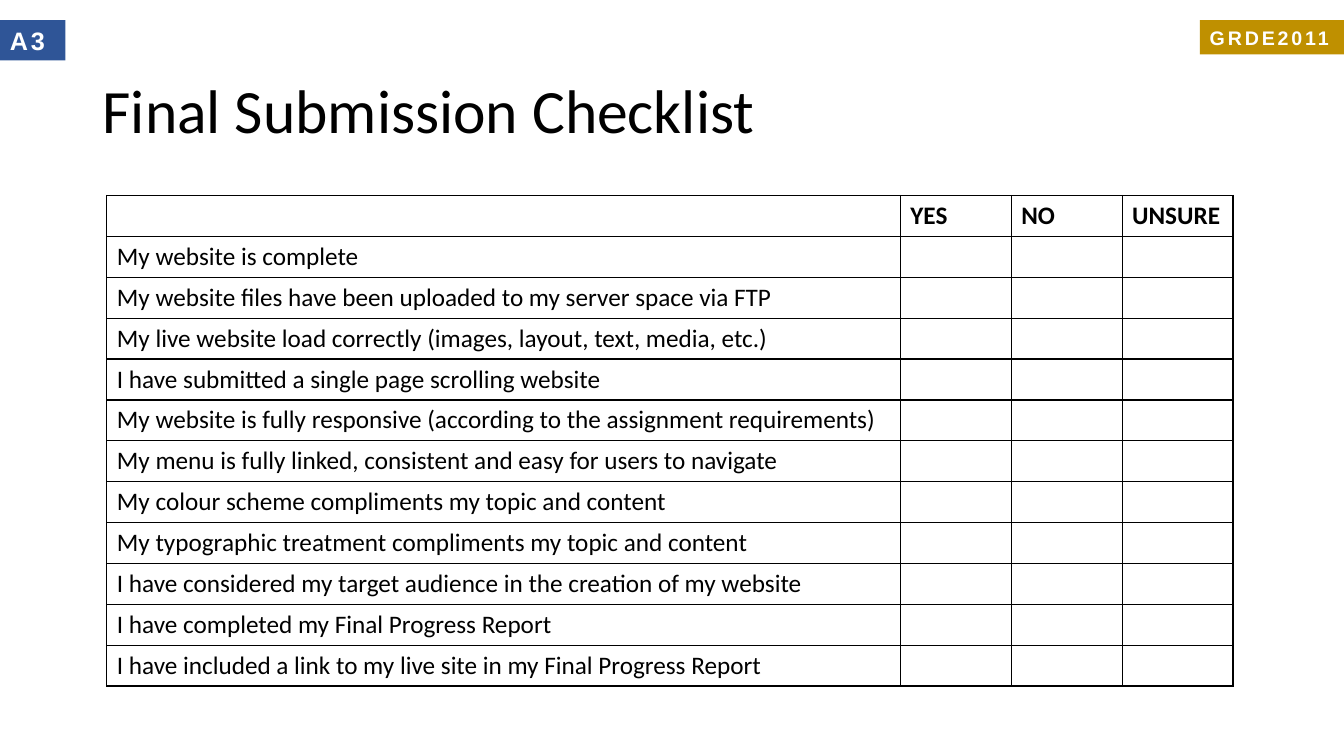
from lxml import etree
from pptx import Presentation
from pptx.dml.color import RGBColor
from pptx.enum.shapes import MSO_SHAPE
from pptx.enum.text import MSO_ANCHOR, PP_ALIGN
from pptx.oxml.ns import qn
from pptx.util import Inches, Pt

RECT = MSO_SHAPE.RECTANGLE
MIDDLE = MSO_ANCHOR.MIDDLE
LEFT = PP_ALIGN.LEFT

COLORS = {"ink": "000000", "paper": "FFFFFF", "blue": "2F5597", "gold": "BF9000"}
HEADS = ["", "YES", "NO", "UNSURE"]
CHECKS = [
    "My website is complete",
    "My website files have been uploaded to my server space via FTP",
    "My live website load correctly (images, layout, text, media, etc.)",
    "I have submitted a single page scrolling website",
    "My website is fully responsive (according to the assignment requirements)",
    "My menu is fully linked, consistent and easy for users to navigate",
    "My colour scheme compliments my topic and content",
    "My typographic treatment compliments my topic and content",
    "I have considered my target audience in the creation of my website",
    "I have completed my Final Progress Report",
    "I have included a link to my live site in my Final Progress Report",
]


def color(name):
    return RGBColor.from_string(COLORS[name])


class Deck:
    body = "Calibri"
    label = "Arial"

    def __init__(self, slide):
        self.slide = slide

    def style(self, para, face, size, ink, bold=False):
        font = para.font
        font.name, font.size, font.bold = face, Pt(size), bold
        font.color.rgb = color(ink)

    def title(self, text, *box):
        shape = self.slide.shapes.add_textbox(*map(Inches, box))
        frame = shape.text_frame
        frame.word_wrap = True
        frame.vertical_anchor = MIDDLE
        para = frame.paragraphs[0]
        para.text = text
        para.line_spacing = 0.9
        self.style(para, self.body, 44, "ink")

    def tag(self, text, size, fill, *box):
        shape = self.slide.shapes.add_shape(RECT, *map(Inches, box))
        shape.shadow.inherit = False
        shape.fill.solid()
        shape.fill.fore_color.rgb = color(fill)
        shape.line.fill.background()
        frame = shape.text_frame
        frame.word_wrap = False
        para = frame.paragraphs[0]
        para.alignment = LEFT
        run = para.add_run()
        run.text = text
        self.style(para, self.label, size, "paper", True)
        # Letter spacing of two points
        run.font._element.set("spc", "200")

    def border(self, cell):
        props = cell._tc.get_or_add_tcPr()
        for index, side in enumerate(("lnL", "lnR", "lnT", "lnB")):
            line = etree.Element(qn("a:" + side), w=str(Pt(1)))
            fill = etree.SubElement(line, qn("a:solidFill"))
            etree.SubElement(fill, qn("a:srgbClr"), val=COLORS["ink"])
            props.insert(index, line)

    def table(self, rows, widths, left, top, height):
        box = map(Inches, (left, top, sum(widths), height))
        grid = self.slide.shapes.add_table(len(rows), len(widths), *box).table
        for col, width in zip(grid.columns, widths):
            col.width = Inches(width)
        for r, row in enumerate(rows):
            for c, text in enumerate(row):
                cell = grid.cell(r, c)
                cell.text = text
                cell.fill.solid()
                cell.fill.fore_color.rgb = color("paper")
                para = cell.text_frame.paragraphs[0]
                self.style(para, self.body, 18, "ink", r == 0)
                self.border(cell)


def main():
    show = Presentation()
    show.slide_width, show.slide_height = Inches(13.33), Inches(7.5)
    deck = Deck(show.slides.add_slide(show.slide_layouts[6]))

    # Title and corner tags
    deck.title("Final Submission Checklist", 0.92, 0.4, 11.5, 1.45)
    deck.tag("A3", 18, "blue", 0, 0.2, 0.65, 0.4)
    deck.tag("GRDE2011", 14, "gold", 11.9, 0.2, 1.43, 0.34)

    # Checklist
    rows = [HEADS] + [[check, "", "", ""] for check in CHECKS]
    deck.table(rows, [7.87, 1.1, 1.1, 1.1], 1.06, 1.94, 4.87)

    show.save("out.pptx")


if __name__ == "__main__":
    main()
